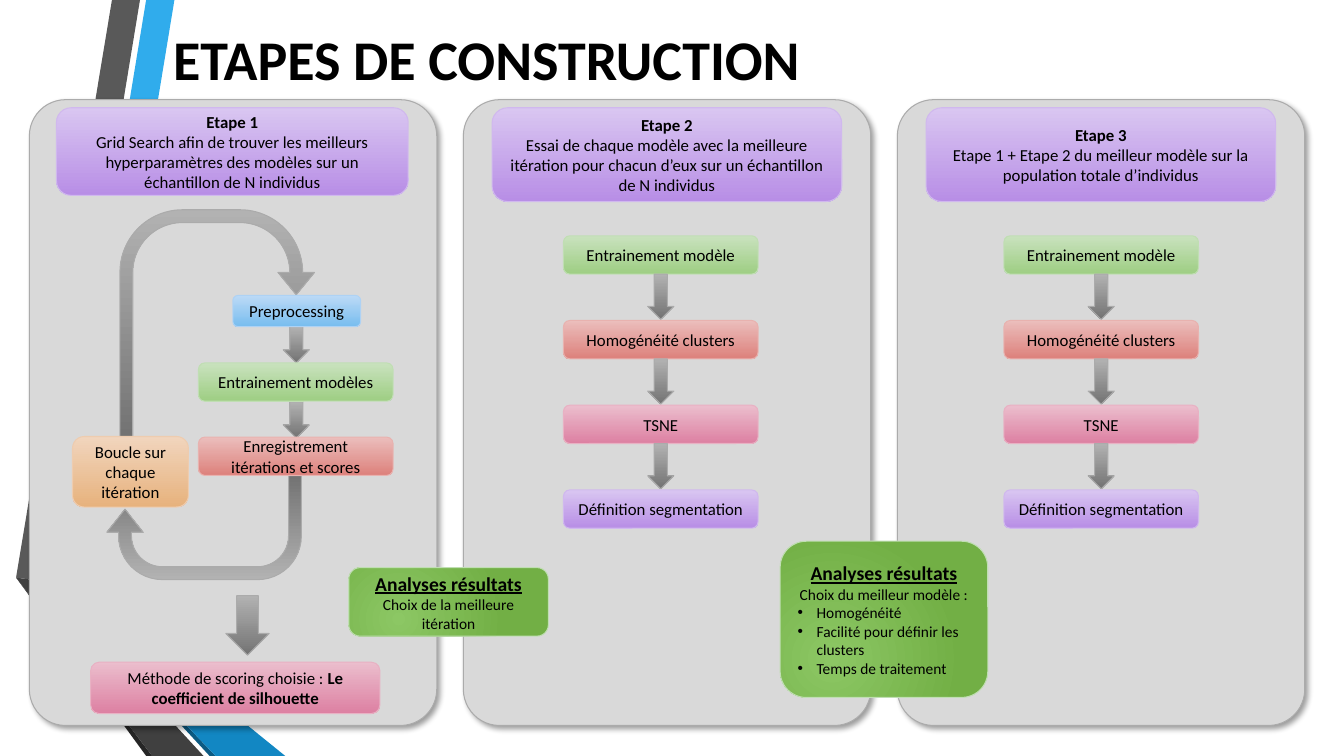
from lxml import etree
from pptx import Presentation
from pptx.dml.color import RGBColor
from pptx.enum.shapes import MSO_SHAPE as Preset
from pptx.enum.text import MSO_ANCHOR as Anchor, PP_ALIGN as Align
from pptx.oxml.ns import qn
from pptx.util import Pt

FONT = "Calibri"
TITLE = "ETAPES DE CONSTRUCTION"

# name: (gradient start, gradient end, outline)
PALETTE = {
    "violet": ("D9C6F1", "B88EE6", "D0B8EE"),
    "blue": ("BCDAF6", "78BDEF", "AED2F4"),
    "green": ("C9E2BE", "9ECE83", "C0DEB3"),
    "orange": ("F1D5BD", "E7B27D", "EECCAF"),
    "red": ("EBBEBC", "DD817C", "E8B2AF"),
    "pink": ("EBBECD", "DD80A2", "E8B1C3"),
    "gray": ("B2B2B2", "737373", "ABABAB"),
    "deep green": ("8CC764", "72AF45", "C0DEB3"),
}

# fill, outline points
RIBBONS = [
    ("30ACEC", [(36, 416.2), (55.4, 419.8), (124.6, 0), (104.4, 0)]),
    ("595959", [(100, 0), (80, 0), (11.5, 412.6), (31.7, 415.4)]),
    ("262626", [(11.5, 412.6), (104.4, 540), (108.7, 540)]),
    ("0C5A82", [(36, 416.9), (149.8, 540), (154.1, 540)]),
    ("1287C3", [(36, 416.5), (154.1, 540), (203.8, 540), (55.4, 419.8)]),
    ("404040", [(145.4, 540), (34.6, 419.8), (31.7, 415.4), (11.5, 412.6), (108.7, 540)]),
]

# heading, description, inset from panel, width, height
STEPS = [
    ("Etape 1", "Grid Search afin de trouver les meilleurs hyperparamètres des modèles "
     "sur un échantillon de N individus", 19.3, 251.3, 62.6),
    ("Etape 2", "Essai de chaque modèle avec la meilleure itération pour chacun d’eux "
     "sur un échantillon de N individus", 20.5, 249.8, 67),
    ("Etape 3", "Etape 1 + Etape 2 du meilleur modèle sur la population totale d’individus",
     20.5, 249.8, 67),
]
PANEL_LEFT, PANEL_TOP, PANEL_PITCH = 21, 71.2, 310
PANEL_WIDTH, PANEL_HEIGHT = 291, 447
HEADER_TOP = 77

# text, colour, box
LOOP = [
    ("Preprocessing", "blue", (166.3, 211, 91.4, 22.3)),
    ("Entrainement modèles", "green", (141.8, 259.2, 139, 27.4)),
    ("Boucle sur chaque itération", "orange", (51.8, 311.8, 82.8, 50.4)),
    ("Enregistrement itérations et scores", "red", (141.8, 312.2, 139, 27.4)),
]
LOOP_ARROWS = [(202.3, 233.3, 18.7, 25.9), (202.3, 287, 18.7, 25.9), (161.3, 425.5, 31, 42.5)]
# box, rotation, adjustments
U_TURNS = [
    ((85.7, 149.8, 139, 162), 0, (0.066, 0.094, 0.115, 0.422, 0.375)),
    ((76.3, 339.8, 139, 74.2), 180, (0.124, 0.175, 0.222, 0.422, 0.678)),
]
SCORING = "Méthode de scoring choisie : ", "Le coefficient de silhouette"
SCORING_BOX = (64.8, 473, 206.6, 36.7)

CHAIN = [
    ("Entrainement modèle", "green"),
    ("Homogénéité clusters", "red"),
    ("TSNE", "pink"),
    ("Définition segmentation", "violet"),
]
CHAIN_LEFTS = (402.5, 717.1)
CHAIN_TOP, CHAIN_PITCH, CHAIN_WIDTH, CHAIN_HEIGHT = 168.4, 60.5, 139, 27.4
CHAIN_ARROW_WIDTH, CHAIN_ARROW_HEIGHT = 18.7, 32.4

# box, introduction, bulleted criteria
ANALYSIS_HEADING = "Analyses résultats"
ANALYSES = [
    ((249.1, 405.4, 142.6, 49), "Choix de la meilleure itération", []),
    ((557.3, 386.6, 148.3, 111.6), "Choix du meilleur modèle :",
     ["Homogénéité", "Facilité pour définir les clusters", "Temps de traitement"]),
]


def rgb(value):
    return RGBColor.from_string(value)


def add_text(target, text, size=12, bold=False, underline=False,
             align=Align.CENTER, bold_tail="", bullet=False):
    """Append one paragraph to the target's text frame."""
    frame = target.text_frame
    frame.word_wrap = True
    frame.vertical_anchor = Anchor.MIDDLE
    first = frame.paragraphs[0]
    paragraph = frame.add_paragraph() if first.runs else first
    paragraph.alignment = align
    if bullet:
        properties = paragraph._p.get_or_add_pPr()
        properties.set("marL", str(Pt(13.5)))
        properties.set("indent", str(-Pt(13.5)))
        etree.SubElement(properties, qn("a:buFont"), typeface="Arial")
        etree.SubElement(properties, qn("a:buChar"), char="•")
    for part, weight in ((text, bold), (bold_tail, True)):
        if part:
            run = paragraph.add_run()
            run.text = part
            run.font.name = FONT
            run.font.size = Pt(size)
            run.font.bold = weight
            run.font.underline = underline
            run.font.color.rgb = rgb("000000")


def add_preset(preset, box, outline):
    shape = slide.shapes.add_shape(preset, *map(Pt, box))
    shape.shadow.inherit = False
    shape.line.color.rgb = rgb(outline)
    shape.line.width = Pt(0.75)
    return shape


def add_shaded(preset, box, colour):
    """Add a preset shape with a top-to-bottom gradient from the palette."""
    start, end, outline = PALETTE[colour]
    shape = add_preset(preset, box, outline)
    shape.fill.gradient()
    shape.fill.gradient_angle = 270
    for stop, value in zip(shape.fill.gradient_stops, (start, end)):
        stop.color.rgb = rgb(value)
    return shape


def add_box(box, colour):
    return add_shaded(Preset.ROUNDED_RECTANGLE, box, colour)


def add_down_arrow(box):
    add_shaded(Preset.DOWN_ARROW, box, "gray")


def make_radial(shape):
    gradient = shape._element.spPr.find(qn("a:gradFill"))
    gradient.remove(gradient.find(qn("a:lin")))
    circle = etree.SubElement(gradient, qn("a:path"), path="circle")
    etree.SubElement(circle, qn("a:fillToRect"), l="50000", t="100000", r="100000", b="50000")


def add_panel(left):
    panel = add_preset(Preset.ROUNDED_RECTANGLE,
                       (left, PANEL_TOP, PANEL_WIDTH, PANEL_HEIGHT), "ABABAB")
    panel.adjustments[0] = 0.089
    panel.fill.solid()
    panel.fill.fore_color.rgb = rgb("D9D9D9")
    effects = panel._element.spPr.find(qn("a:effectLst"))
    shadow = etree.SubElement(effects, qn("a:outerShdw"), blurRad=str(Pt(4)),
                              dist=str(Pt(3)), dir="2700000", algn="tl", rotWithShape="0")
    black = etree.SubElement(shadow, qn("a:srgbClr"), val="000000")
    etree.SubElement(black, qn("a:alpha"), val="40000")


deck = Presentation()
deck.slide_width, deck.slide_height = Pt(960), Pt(540)
slide = deck.slides.add_slide(deck.slide_layouts[6])

for colour, corners in RIBBONS:
    start, *others = [(Pt(x), Pt(y)) for x, y in corners]
    outline = slide.shapes.build_freeform(*start)
    outline.add_line_segments(others)
    ribbon = outline.convert_to_shape()
    ribbon.shadow.inherit = False
    ribbon.fill.solid()
    ribbon.fill.fore_color.rgb = rgb(colour)
    ribbon.line.fill.background()

title = slide.shapes.add_textbox(Pt(116.6), Pt(0), Pt(789), Pt(83.5))
add_text(title, TITLE, size=40, bold=True, align=Align.LEFT)

for index, (heading, description, inset, width, height) in enumerate(STEPS):
    left = PANEL_LEFT + index * PANEL_PITCH
    add_panel(left)
    header = add_box((left + inset, HEADER_TOP, width, height), "violet")
    add_text(header, heading, bold=True)
    add_text(header, description)

for box, rotation, adjustments in U_TURNS:
    turn = add_shaded(Preset.U_TURN_ARROW, box, "gray")
    turn.rotation = rotation
    for index, adjustment in enumerate(adjustments):
        turn.adjustments[index] = adjustment
for box in LOOP_ARROWS:
    add_down_arrow(box)
for label, colour, box in LOOP:
    add_text(add_box(box, colour), label)
add_text(add_box(SCORING_BOX, "pink"), SCORING[0], bold_tail=SCORING[1])

for left in CHAIN_LEFTS:
    arrow_left = left + (CHAIN_WIDTH - CHAIN_ARROW_WIDTH) / 2
    for index, (label, colour) in enumerate(CHAIN):
        top = CHAIN_TOP + index * CHAIN_PITCH
        add_text(add_box((left, top, CHAIN_WIDTH, CHAIN_HEIGHT), colour), label)
        if index < len(CHAIN) - 1:
            add_down_arrow((arrow_left, top + CHAIN_HEIGHT,
                            CHAIN_ARROW_WIDTH, CHAIN_ARROW_HEIGHT))

for box, introduction, criteria in ANALYSES:
    analysis = add_box(box, "deep green")
    make_radial(analysis)
    add_text(analysis, ANALYSIS_HEADING, size=14, bold=True, underline=True)
    add_text(analysis, introduction, size=11)
    for criterion in criteria:
        add_text(analysis, criterion, size=11, align=Align.LEFT, bullet=True)

deck.save("out.pptx")
